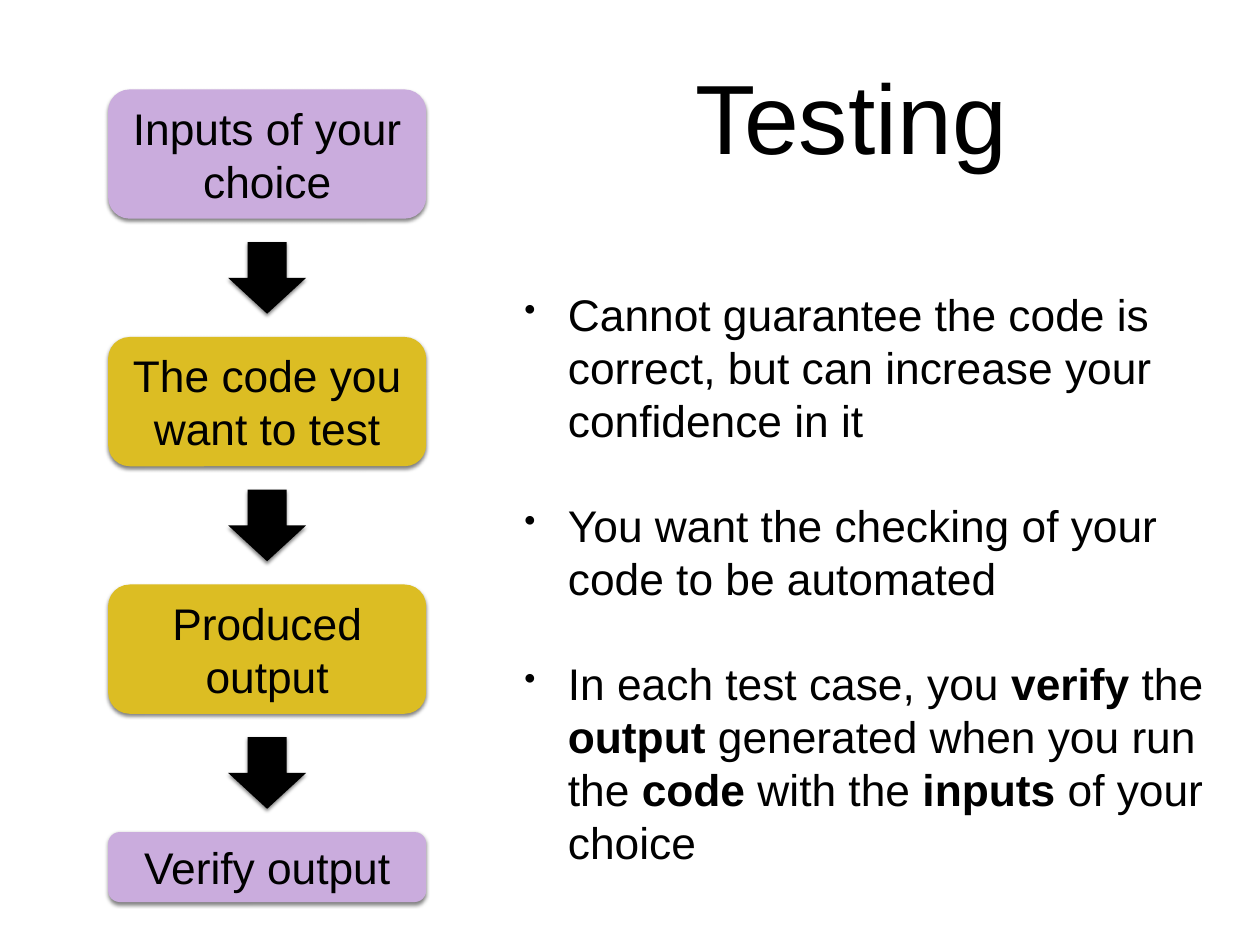
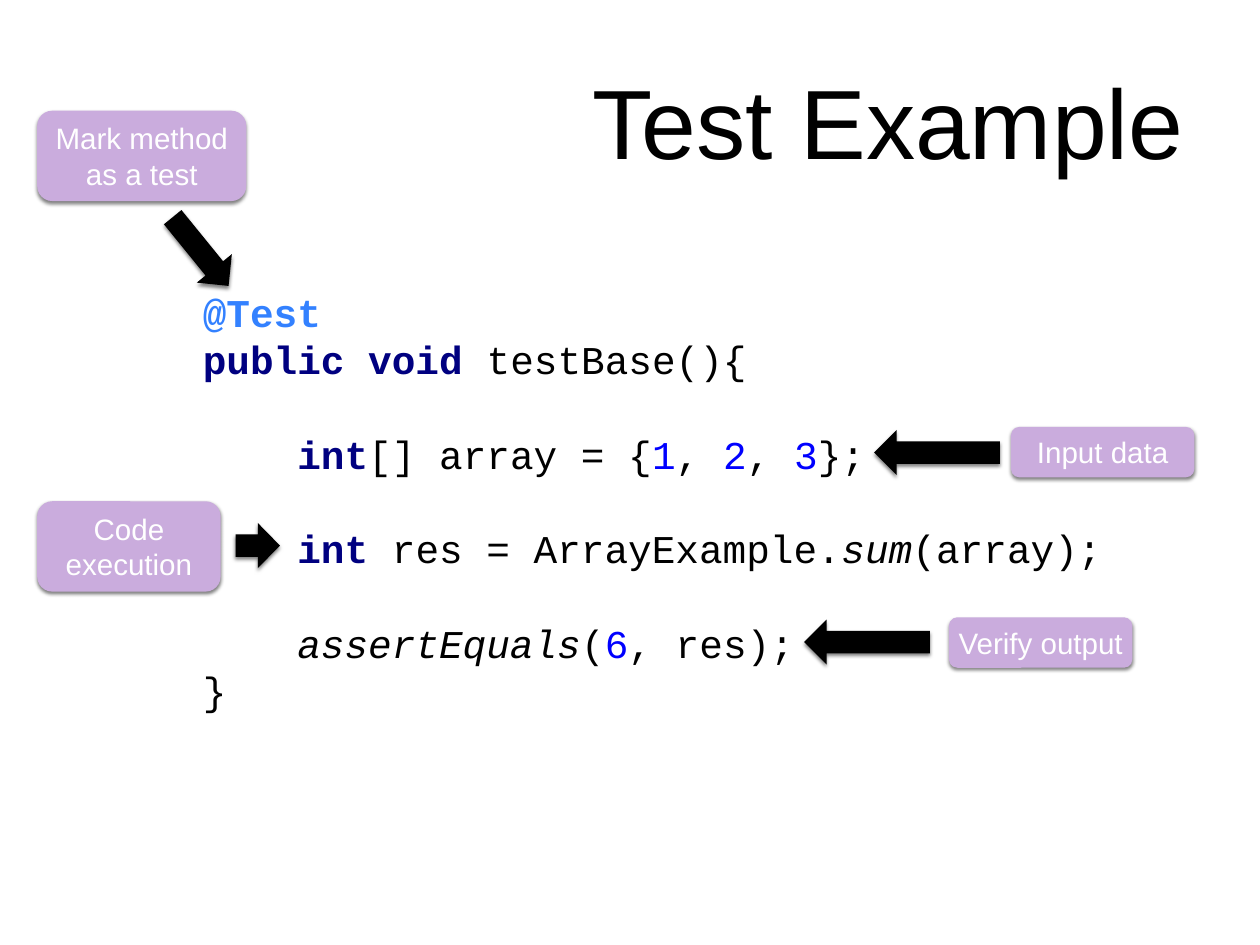
from lxml import etree
from pptx import Presentation
from pptx import util as u
from pptx.dml.color import RGBColor
from pptx.enum import shapes, text
from pptx.oxml.ns import qn

WIDTH, HEIGHT = 14.22, 10.67
BLACK, WHITE, LILAC, GOLD = "000000", "FFFFFF", "CAACDD", "DCBD23"
SANS, MONO = "Arial", "Courier New"
INSET = 0.06
LEADING = 1.2
CODE_SIZE = 32
CODE_INDENT = 4 * 0.6 * CODE_SIZE / 72  # four monospaced characters

STYLES = {
    "plain": {},
    "bold": {"bold": True},
    "italic": {"italic": True},
    "keyword": {"bold": True, "color": "000080"},
    "annotation": {"bold": True, "color": "3381FF"},
    "number": {"color": "0000FF"},
}

FLOW = [  # text, fill, height
    ("Inputs of your choice", LILAC, 1.46),
    ("The code you want to test", GOLD, 1.46),
    ("Produced output", GOLD, 1.46),
    ("Verify output", LILAC, 0.79),
]
FLOW_LEFT, FLOW_TOP, FLOW_WIDTH, FLOW_GAP = 1.22, 1.01, 3.59, 1.335
FLOW_ARROW = (0.88, 0.81)

POINTS = [
    "Cannot guarantee the code is correct, but can increase your confidence in it",
    "You want the checking of your code to be automated",
    [("In each test case, you ", "plain"), ("verify", "bold"), (" the ", "plain"),
     ("output", "bold"), (" generated when you run the ", "plain"), ("code", "bold"),
     (" with the ", "plain"), ("inputs", "bold"), (" of your choice", "plain")],
]

CODE_START = [
    [("@Test", "annotation")],
    [("public void ", "keyword"), ("testBase(){", "plain")],
]
CODE_BODY = [
    [("int", "keyword"), ("[] array = {", "plain"), ("1", "number"), (", ", "plain"),
     ("2", "number"), (", ", "plain"), ("3", "number"), ("};", "plain")],
    [("int ", "keyword"), ("res = ArrayExample.", "plain"), ("sum", "italic"),
     ("(array);", "plain")],
    [("assertEquals", "italic"), ("(", "plain"), ("6", "number"), (", res);", "plain")],
]
CODE_END = ["}"]

LABELS = [  # text, box, arrow centre, arrow length, arrow rotation
    ("Mark method as a test", (0.42, 1.25, 2.36, 1.02), (2.265, 2.84), 1, 320.9),
    ("Input data", (11.41, 4.82, 2.07, 0.57), (10.575, 5.11), 1.42, 90),
    ("Code execution", (0.42, 5.66, 2.07, 1.02), (2.91, 6.16), 0.5, 270),
    ("Verify output", (10.71, 6.97, 2.07, 0.57), (9.785, 7.25), 1.42, 90),
]
LABEL_ARROW_WIDTH = 0.51


def rgb(color):
    return RGBColor.from_string(color)


def inches(box):
    return [u.Inches(value) for value in box]


def write(shape, paragraphs, size, font=SANS, color=BLACK, align="CENTER",
          inset=(INSET, INSET), before=0, indent=0, bullet=False):
    """Append paragraphs, each a string or a list of (text, style) runs."""
    frame = shape.text_frame
    frame.word_wrap = True
    frame.vertical_anchor = text.MSO_ANCHOR.MIDDLE
    frame.margin_left = frame.margin_right = u.Inches(inset[0])
    frame.margin_top = frame.margin_bottom = u.Inches(inset[1])
    for content in paragraphs:
        started = bool(frame.paragraphs[0].runs)
        paragraph = frame.add_paragraph() if started else frame.paragraphs[0]
        paragraph.alignment = getattr(text.PP_ALIGN, align)
        paragraph.line_spacing = u.Pt(LEADING * size)
        paragraph.space_before = u.Pt(before)
        properties = paragraph._p.get_or_add_pPr()
        properties.set("marL", str(u.Inches(indent)))
        if bullet:
            properties.set("indent", str(-u.Inches(indent)))
            etree.SubElement(properties, qn("a:buSzPct"), val="75000")
            etree.SubElement(properties, qn("a:buChar"), char="•")
        runs = [(content, "plain")] if isinstance(content, str) else content
        for words, style in runs:
            run = paragraph.add_run()
            run.text = words
            look = STYLES[style]
            run.font.name, run.font.size = font, u.Pt(size)
            run.font.bold = look.get("bold", False)
            run.font.italic = look.get("italic", False)
            run.font.color.rgb = rgb(look.get("color", color))


def add_text(slide, box, paragraphs, size, **formatting):
    shape = slide.shapes.add_textbox(*inches(box))
    write(shape, paragraphs, size, **formatting)
    return shape


def add_solid(slide, kind, box, fill):
    """Add a filled shape without outline and with the deck's soft shadow."""
    shape = slide.shapes.add_shape(kind, *inches(box))
    shape.fill.solid()
    shape.fill.fore_color.rgb = rgb(fill)
    shape.line.fill.background()
    shape.shadow.inherit = False
    effects = shape._element.spPr.find(qn("a:effectLst"))
    shadow = etree.SubElement(effects, qn("a:outerShdw"), blurRad=str(u.Pt(3)),
                              dist=str(u.Pt(2)), dir="5400000", rotWithShape="0")
    shade = etree.SubElement(shadow, qn("a:srgbClr"), val=BLACK)
    etree.SubElement(shade, qn("a:alpha"), val="50000")
    return shape


def add_box(slide, box, words, fill, size, color):
    shape = add_solid(slide, shapes.MSO_SHAPE.ROUNDED_RECTANGLE, box, fill)
    write(shape, [words], size, color=color)


def add_arrow(slide, center, width, length, rotation=0):
    box = (center[0] - width / 2, center[1] - length / 2, width, length)
    arrow = add_solid(slide, shapes.MSO_SHAPE.DOWN_ARROW, box, BLACK)
    arrow.rotation = rotation


def add_slide(presentation, title, title_box):
    slide = presentation.slides.add_slide(presentation.slide_layouts[6])
    add_text(slide, title_box, [title], 80)
    return slide


def build_testing(presentation):
    slide = add_slide(presentation, "Testing", (7.36, 0.12, 4.49, 2.36))
    add_text(slide, (5.86, 2.85, 7.87, 7.35), POINTS, 36, align="LEFT",
             before=42, indent=0.49, bullet=True)
    top = FLOW_TOP
    for index, (words, fill, height) in enumerate(FLOW):
        if index:
            center = (FLOW_LEFT + FLOW_WIDTH / 2, top - FLOW_GAP / 2)
            add_arrow(slide, center, *FLOW_ARROW)
        add_box(slide, (FLOW_LEFT, top, FLOW_WIDTH, height), words, fill, 36, BLACK)
        top += height + FLOW_GAP


def build_example(presentation):
    slide = add_slide(presentation, "Test Example", (6.14, 0.18, 7.77, 2.36))
    code_format = {"size": CODE_SIZE, "font": MONO, "align": "LEFT", "inset": (0.1, 0.05)}
    code = add_text(slide, (2.19, 3.18, 10.46, 4.95), CODE_START, **code_format)
    write(code, CODE_BODY, indent=CODE_INDENT, before=LEADING * CODE_SIZE, **code_format)
    write(code, CODE_END, **code_format)
    for words, box, center, length, rotation in LABELS:
        add_box(slide, box, words, LILAC, 24, WHITE)
        add_arrow(slide, center, LABEL_ARROW_WIDTH, length, rotation)


def main():
    presentation = Presentation()
    presentation.slide_width, presentation.slide_height = inches((WIDTH, HEIGHT))
    build_testing(presentation)
    build_example(presentation)
    presentation.save("out.pptx")


if __name__ == "__main__":
    main()
